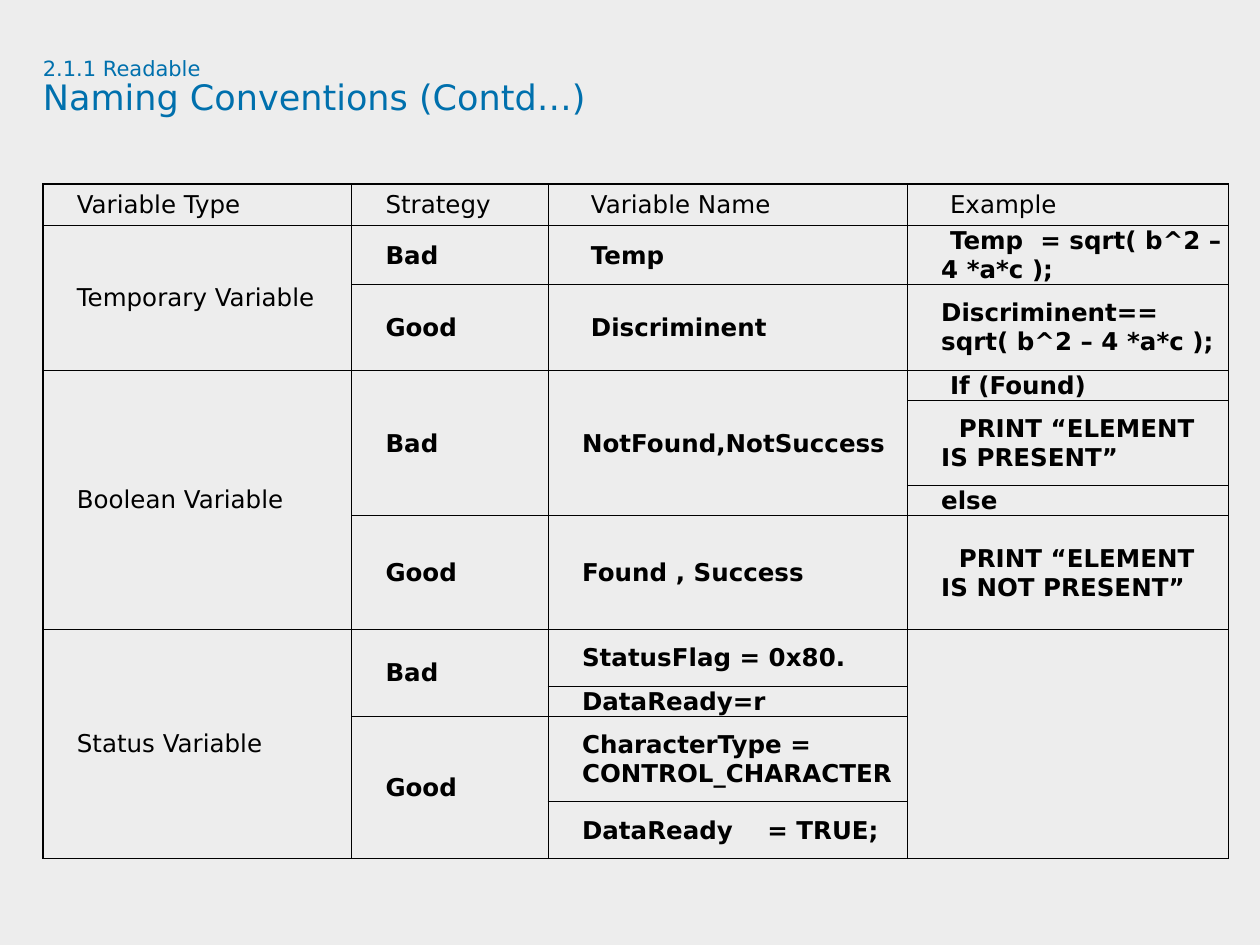
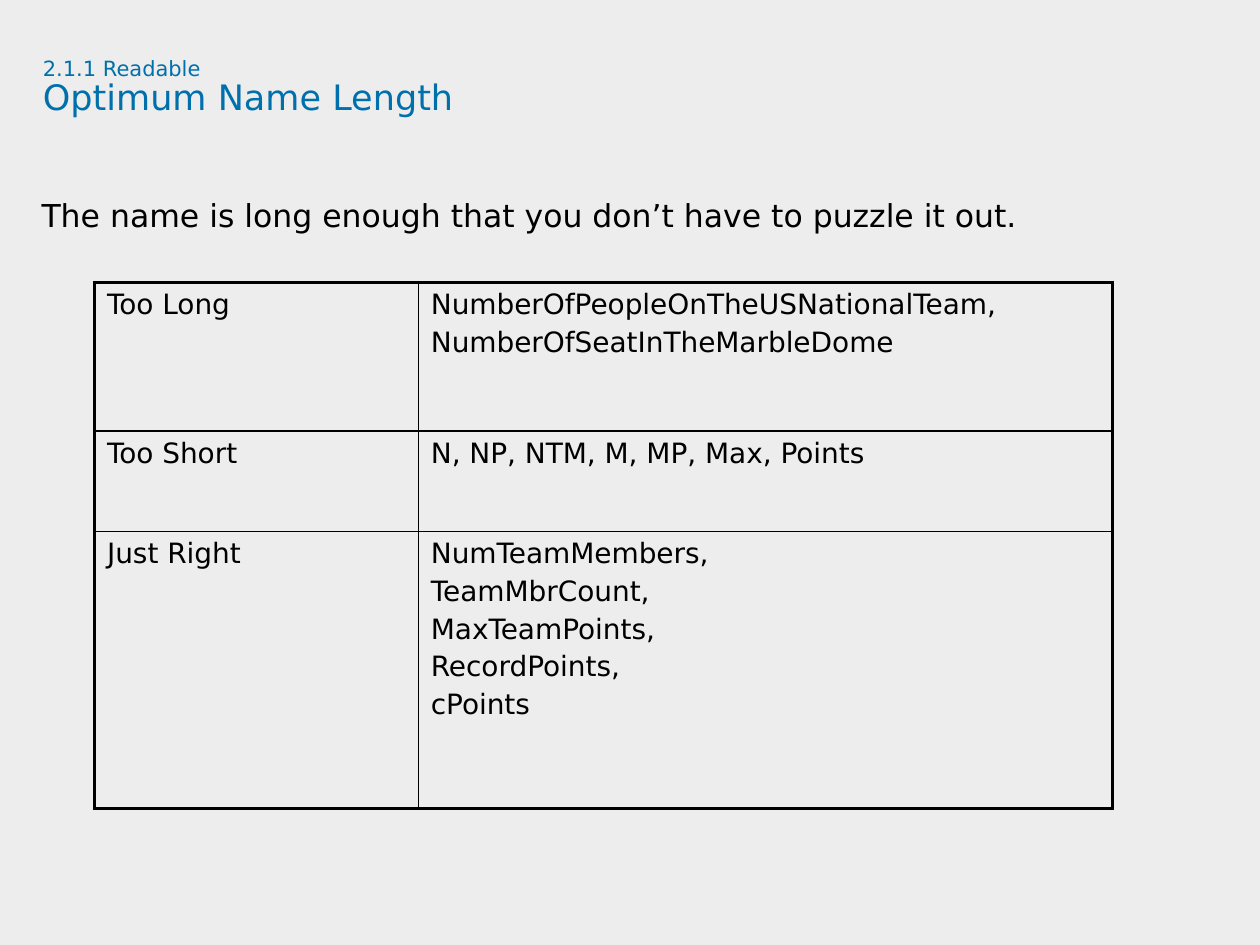
import pptx
import pptx.util
import pptx.dml.color
import pptx.enum.text
import pptx.oxml.ns
from lxml import etree

Inches, Pt = pptx.util.Inches, pptx.util.Pt
ANCHOR = pptx.enum.text.MSO_ANCHOR
FONT = "DejaVu Sans"
BLACK, BLUE, GREY = "000000", "0070AD", "EDEDED"
SPACE_WIDTH = 0.07
TAB_STOP = 1.47

SECTION = "2.1.1 Readable"
NAMING = {
    "title": "Naming Conventions (Contd…)",
    "at": (0.34, 1.46),
    "cols": [2.45, 1.56, 2.85, 2.55],
    "rows": [0.33, 0.45, 0.68, 0.23, 0.68, 0.23, 0.9, 0.45, 0.23, 0.68, 0.45],
    "cells": [
        ("Variable Type", "Strategy", " Variable Name", " Example"),
        ("Temporary Variable", "Bad", " Temp", " Temp  = sqrt( b^2 – 4 *a*c );"),
        (None, "Good", " Discriminent", "Discriminent== sqrt( b^2 – 4 *a*c );"),
        ("Boolean Variable", "Bad", "NotFound,NotSuccess", " If (Found)"),
        (None, None, None, "  PRINT “ELEMENT IS PRESENT”"),
        (None, None, None, "else"),
        (None, "Good", "Found , Success", "  PRINT “ELEMENT IS NOT PRESENT”"),
        ("Status Variable", "Bad", "StatusFlag = 0x80.", ""),
        (None, None, "DataReady=r", None),
        (None, "Good", "CharacterType = CONTROL_CHARACTER", None),
        (None, None, "DataReady\t= TRUE;", None),
    ],
    "size": 14, "before": 0, "inner": 0.5, "outer": 1,
    "margins": (0.27, 0.01, 0.01, 0), "anchor": ANCHOR.MIDDLE,
    "bold": lambda row, col: row > 0 and col > 0,
}
LENGTH = {
    "title": "Optimum Name Length",
    "at": (0.75, 2.24),
    "cols": [2.57, 5.51],
    "rows": [1.18, 0.8, 2.2],
    "cells": [
        ("Too Long", "NumberOfPeopleOnTheUSNationalTeam,\nNumberOfSeatInTheMarbleDome"),
        ("Too Short", "N, NP, NTM, M, MP, Max, Points"),
        ("Just Right", "NumTeamMembers,\nTeamMbrCount,\nMaxTeamPoints,\nRecordPoints,\ncPoints"),
    ],
    "size": 16, "before": 3, "inner": 1, "outer": 2,
    "margins": (0.1, 0.05, 0.1, 0.05), "anchor": ANCHOR.TOP,
    "bold": lambda row, col: False,
}
LENGTH_RULE = "The name is long enough that you don’t have to puzzle it out."


def rgb(color):
    return pptx.dml.color.RGBColor.from_string(color)


def set_font(font, size, color=BLACK, bold=False):
    font.name, font.size, font.bold = FONT, Pt(size), bold
    font.color.rgb = rgb(color)


def set_frame(tf, margins=(0, 0, 0, 0), anchor=ANCHOR.TOP):
    tf.word_wrap = True
    tf.margin_left, tf.margin_top, tf.margin_right, tf.margin_bottom = map(Inches, margins)
    tf.vertical_anchor = anchor


def add_titled_slide(prs, title):
    s = prs.slides.add_slide(prs.slide_layouts[5])
    sp = s.shapes.title
    sp.left, sp.top, sp.width, sp.height = map(Inches, (0.34, 0.46, 9.09, 0.94))
    tf = sp.text_frame
    set_frame(tf)
    tf.auto_size = pptx.enum.text.MSO_AUTO_SIZE.NONE
    p = tf.paragraphs[0]
    p.alignment = pptx.enum.text.PP_ALIGN.LEFT
    p.line_spacing = 0.9
    for text, size in ((SECTION, 12), (title, 20)):
        if p.runs:
            p.add_line_break()
        r = p.add_run()
        r.text = text
        set_font(r.font, size, BLUE)
    return s


def set_borders(cell, widths):
    tc_pr = cell._tc.get_or_add_tcPr()
    for side, width in zip("LRTB", widths):
        ln = etree.SubElement(tc_pr, pptx.oxml.ns.qn(f"a:ln{side}"), w=str(Pt(width)))
        fill = etree.SubElement(ln, pptx.oxml.ns.qn("a:solidFill"))
        etree.SubElement(fill, pptx.oxml.ns.qn("a:srgbClr"), val=BLACK)


def fill_paragraph(p, line, data, bold):
    text = line.lstrip(" ")
    p.text = text
    p.space_before = Pt(data["before"])
    set_font(p.font, data["size"], bold=bold)
    p_pr = p._p.get_or_add_pPr()
    if text != line:
        p_pr.set("marL", "0")
        p_pr.set("indent", str(Inches(SPACE_WIDTH * (len(line) - len(text)))))
    if "\t" in text:
        tab_list = etree.Element(pptx.oxml.ns.qn("a:tabLst"))
        etree.SubElement(tab_list, pptx.oxml.ns.qn("a:tab"), pos=str(Inches(TAB_STOP)), algn="l")
        p_pr.find(pptx.oxml.ns.qn("a:defRPr")).addprevious(tab_list)


def add_grid(s, data):
    cols, rows, cells = data["cols"], data["rows"], data["cells"]
    x, y = data["at"]
    table = s.shapes.add_table(len(rows), len(cols), Inches(x), Inches(y),
                               Inches(sum(cols)), Inches(sum(rows))).table
    table.first_row = table.horz_banding = False
    for col, width in zip(table.columns, cols):
        col.width = Inches(width)
    for row, height in zip(table.rows, rows):
        row.height = Inches(height)
    for i, values in enumerate(cells):
        for j, text in enumerate(values):
            cell = table.cell(i, j)
            last = i
            while text is not None and last + 1 < len(rows) and cells[last + 1][j] is None:
                last += 1
            edges = (j == 0, j == len(cols) - 1, i == 0, last == len(rows) - 1)
            set_borders(cell, [data["outer"] if edge else data["inner"] for edge in edges])
            cell.fill.background()
            cell.margin_left, cell.margin_top, cell.margin_right, cell.margin_bottom = map(
                Inches, data["margins"])
            cell.vertical_anchor = data["anchor"]
            if text is None:
                continue
            if last > i:
                cell.merge(table.cell(last, j))
            tf = cell.text_frame
            for k, line in enumerate(text.split("\n")):
                p = tf.add_paragraph() if k else tf.paragraphs[0]
                fill_paragraph(p, line, data, data["bold"](i, j))


def add_statement(s, text):
    tf = s.shapes.add_textbox(*map(Inches, (0.33, 1.63, 9.67, 0.4))).text_frame
    set_frame(tf)
    p = tf.paragraphs[0]
    p.text = text
    p.line_spacing, p.space_after = Pt(16.5), Pt(4.5)
    set_font(p.font, 18)


def main():
    prs = pptx.Presentation()
    prs.slide_width, prs.slide_height = Inches(10), Inches(7.5)
    background = prs.slide_master.background.fill
    background.solid()
    background.fore_color.rgb = rgb(GREY)

    s = add_titled_slide(prs, NAMING["title"])
    add_grid(s, NAMING)

    s = add_titled_slide(prs, LENGTH["title"])
    add_statement(s, LENGTH_RULE)
    add_grid(s, LENGTH)

    prs.save("out.pptx")


if __name__ == "__main__":
    main()
